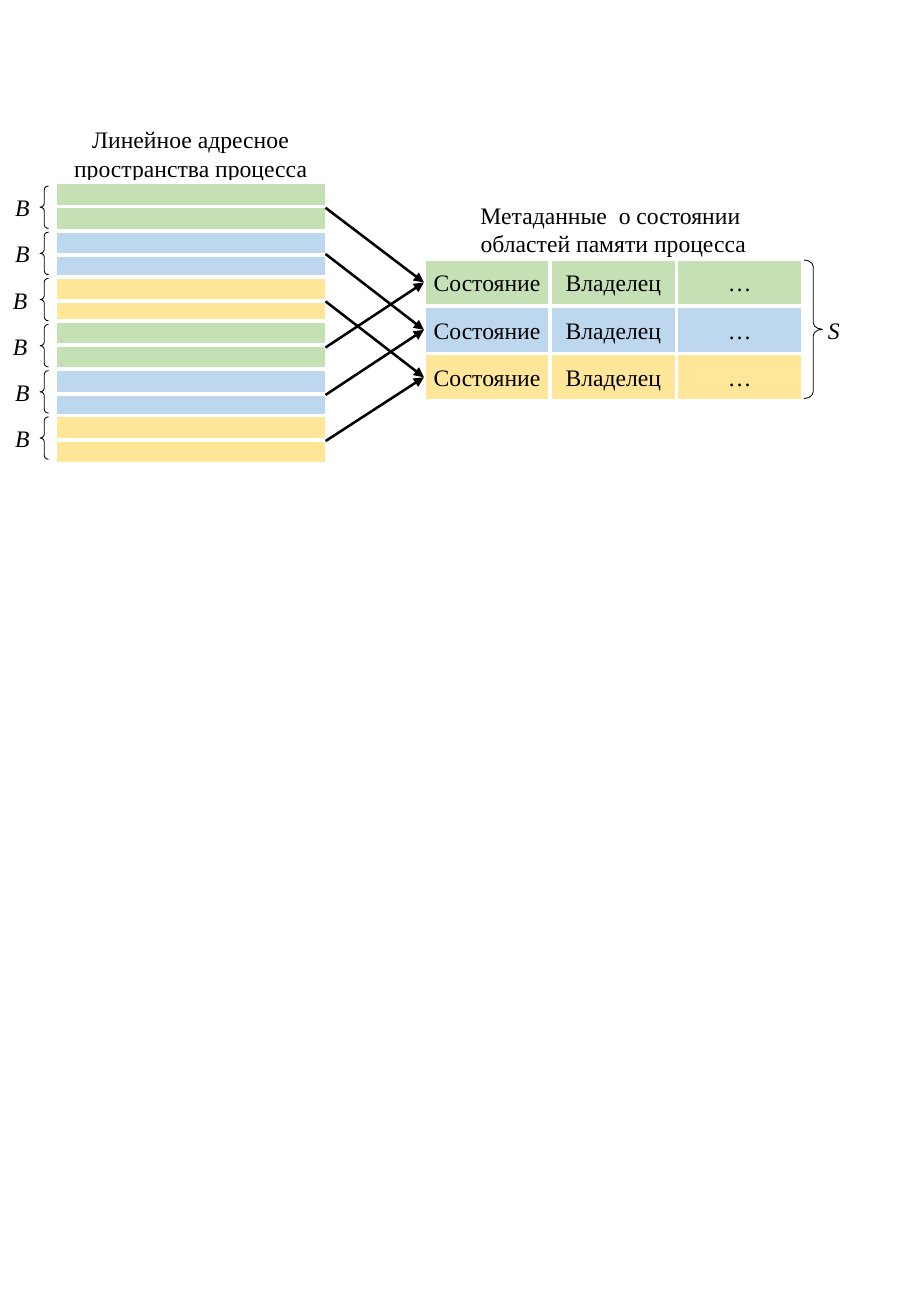
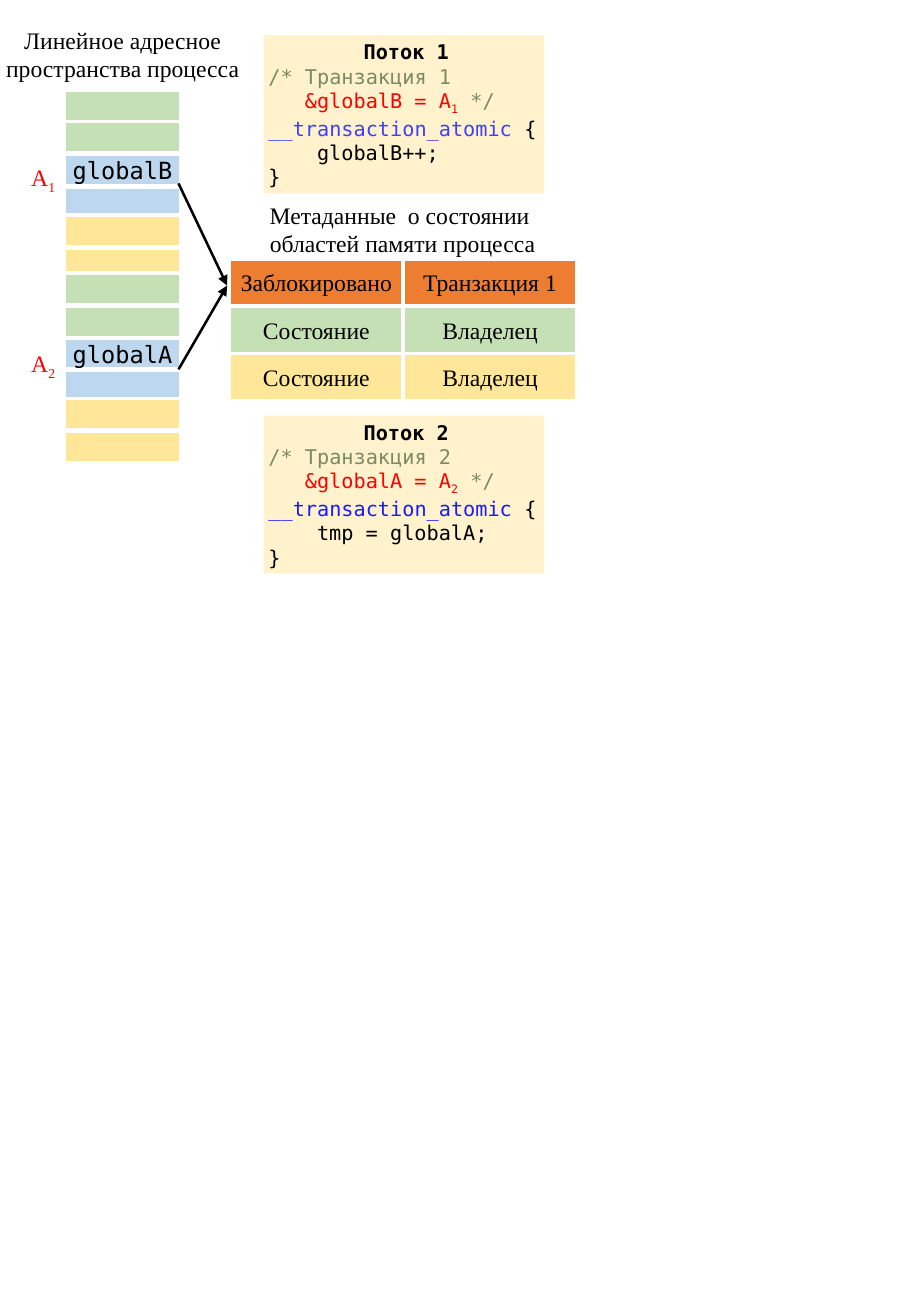
from pptx import Presentation
from pptx.dml.color import RGBColor
from pptx.enum import shapes, text
from pptx.oxml.ns import qn
from pptx.util import Emu, Pt
from lxml import etree

# Shared scale, fonts and colours
SCALE = 9144  # EMU in one px, 100 px to the inch
SERIF = "Times New Roman"
MONO = "DejaVu Sans Mono"
BLACK = RGBColor(0x00, 0x00, 0x00)
WHITE = RGBColor(0xFF, 0xFF, 0xFF)
RED = RGBColor(0xFF, 0x00, 0x00)
GREEN = RGBColor(0xC5, 0xE0, 0xB4)
BLUE = RGBColor(0xBD, 0xD7, 0xEE)
YELLOW = RGBColor(0xFF, 0xE6, 0x99)
ORANGE = RGBColor(0xED, 0x7D, 0x31)
CREAM = RGBColor(0xFF, 0xF2, 0xCC)
OLIVE = RGBColor(0x7A, 0x8A, 0x63)
SOFT = RGBColor(0x3F, 0x3F, 0xFF)
DEEP = RGBColor(0x1A, 0x1A, 0xFF)
BANDS = (GREEN, BLUE, YELLOW)
BAND_TOPS = (0, 2, 3.9, 5.7, 7.7, 9.6)  # in units of one memory row
CENTER, LEFT = text.PP_ALIGN.CENTER, text.PP_ALIGN.LEFT
BOX = shapes.MSO_SHAPE.RECTANGLE


def px(*nums):
    return [Emu(round(n * SCALE)) for n in nums]


# Text
def setup(shape, pad=0):
    frame = shape.text_frame
    frame.word_wrap = True
    frame.auto_size = text.MSO_AUTO_SIZE.NONE
    frame.vertical_anchor = text.MSO_ANCHOR.MIDDLE
    frame.margin_left, frame.margin_right = px(pad, 0)
    frame.margin_top = frame.margin_bottom = 0
    return frame


def add_run(para, words, size=14, font=SERIF, color=BLACK,
            bold=False, italic=False, sub=False):
    run = para.add_run()
    run.text = words
    face = run.font
    face.size, face.name = Pt(size), font
    face.bold, face.italic = bold, italic
    face.color.rgb = color
    if sub:
        run._r.get_or_add_rPr().set("baseline", "-25000")


def center(shape, words, **style):
    para = setup(shape).paragraphs[0]
    para.alignment = CENTER
    for i, line in enumerate(words.split("\n")):
        if i:
            para.add_line_break()
        add_run(para, line, **style)
    return para


def label(slide, place, words, **style):
    return center(slide.shapes.add_textbox(*px(*place)), words, **style)


def title(slide, place):
    shape = slide.shapes.title
    shape.left, shape.top, shape.width, shape.height = px(*place)
    center(shape, "Линейное адресное пространства процесса")


def caption(slide, place):
    label(slide, place, "Метаданные  о состоянии \nобластей памяти процесса")


# Shapes
def add_box(slide, place, fill, edge=WHITE):
    box = slide.shapes.add_shape(BOX, *px(*place))
    box.shadow.inherit = False
    box.fill.solid()
    box.fill.fore_color.rgb = fill
    if edge is None:
        box.line.fill.background()
    else:
        box.line.color.rgb = edge
        box.line.width = Pt(2.25)
    return box


def brace(slide, kind, place, curve):
    shape = slide.shapes.add_shape(kind, *px(*place))
    shape.shadow.inherit = False
    shape.fill.background()
    shape.line.color.rgb = BLACK
    shape.line.width = Pt(0.5)
    shape.adjustments[0] = curve


def arrow(slide, start, end, box=None):
    line = slide.shapes.add_connector(
        shapes.MSO_CONNECTOR.STRAIGHT, *px(*start, *end))
    if box is not None:
        line.end_connect(box, 1)
    line.line.color.rgb = BLACK
    line.line.width = Pt(1.5)
    props = line._element.spPr
    etree.SubElement(props.find(qn("a:ln")), qn("a:tailEnd"), type="triangle")
    etree.SubElement(props, qn("a:effectLst"))


def stack(slide, left, top, width, unit, names=()):
    """Memory rows: two to a band, bands cycling through three colours."""
    names = dict(names)
    for i, start in enumerate(BAND_TOPS):
        for j in range(2):
            place = left, top + round((start + j) * unit), width, int(unit)
            box = add_box(slide, place, BANDS[i % 3])
            name = names.get(2 * i + j)
            if name:
                center(box, name, font=MONO)


def grid(slide, left, width, rows):
    """State table; gives back the first box of each row."""
    heads = []
    for i, (fill, words) in enumerate(rows):
        for j, word in enumerate(words):
            place = left + j * width, 213 + 39 * i, width, 39
            box = add_box(slide, place, fill)
            center(box, word)
            if j == 0:
                heads.append(box)
    return heads


def code(slide, top, num, name, blue, body):
    """Listing of one thread: lines of (indent in px, runs)."""
    frame = setup(add_box(slide, (217, top, 231, 130), CREAM, None), 4)
    lines = [
        (0, [(f"Поток {num}", dict(bold=True))]),
        (0, [(f"/* Транзакция {num}", dict(color=OLIVE))]),
        (30, [(f"&{name} = A", dict(color=RED)),
              (num, dict(color=RED, sub=True)),
              (" */", dict(color=OLIVE))]),
        (0, [("__transaction_atomic", dict(color=blue)), (" {", {})]),
        (40, [(body, {})]),
        (0, [("}", {})]),
    ]
    for i, (indent, runs) in enumerate(lines):
        para = frame.add_paragraph() if i else frame.paragraphs[0]
        para.alignment = LEFT if i else CENTER
        if indent:
            para._p.get_or_add_pPr().set("marL", str(indent * SCALE))
        for words, style in runs:
            add_run(para, words, size=12, font=MONO, **style)


# Slides
def map_slide(slide):
    title(slide, (45, 103, 224, 47))
    caption(slide, (349, 165, 312, 47))
    words = "Состояние", "Владелец", "…"
    heads = grid(slide, 349, 104, [(fill, words) for fill in BANDS])
    stack(slide, 45, 150, 224, 20)

    # Block marks and arrows to the table rows
    for i in range(6):
        left = 0 if i in (2, 3) else 2
        label(slide, (left, 158 + 38 * i, 33, 25), "B", italic=True)
        brace(slide, shapes.MSO_SHAPE.LEFT_BRACE,
              (33, 153 + 38 * i, 7, 35), 0.44)
        row = i % 3
        arrow(slide, (268, round(171 + 38.4 * i)),
              (349, 232 + 39 * row), heads[row])

    label(slide, (670, 259, 33, 25), "S", italic=True)
    brace(slide, shapes.MSO_SHAPE.RIGHT_BRACE, (662, 214, 15, 114), 0.37)


def clash_slide(slide):
    title(slide, (-11, 13, 224, 63))
    caption(slide, (216, 165, 231, 47))
    words = "Состояние", "Владелец"
    grid(slide, 189, 143, [(ORANGE, ("Заблокировано", "Транзакция 1")),
                           (GREEN, words), (YELLOW, words)])
    stack(slide, 53, 74, 96, 26.5, {2: "globalB", 8: "globalA"})
    for top in (151, 304):
        arrow(slide, (147, top), (187, 235))

    # Threads and addresses
    code(slide, 29, "1", "globalB", SOFT, "globalB++;")
    code(slide, 342, "2", "globalA", DEEP, "tmp = globalA;")
    for num, top in (("1", 135), ("2", 288)):
        para = label(slide, (23, top, 25, 25), "A", color=RED)
        add_run(para, num, color=RED, sub=True)


def main():
    deck = Presentation()
    deck.slide_width, deck.slide_height = px(750, 1083)
    plain = deck.slide_layouts[5]
    for draw in (map_slide, clash_slide):
        draw(deck.slides.add_slide(plain))
    deck.save("out.pptx")


if __name__ == "__main__":
    main()
